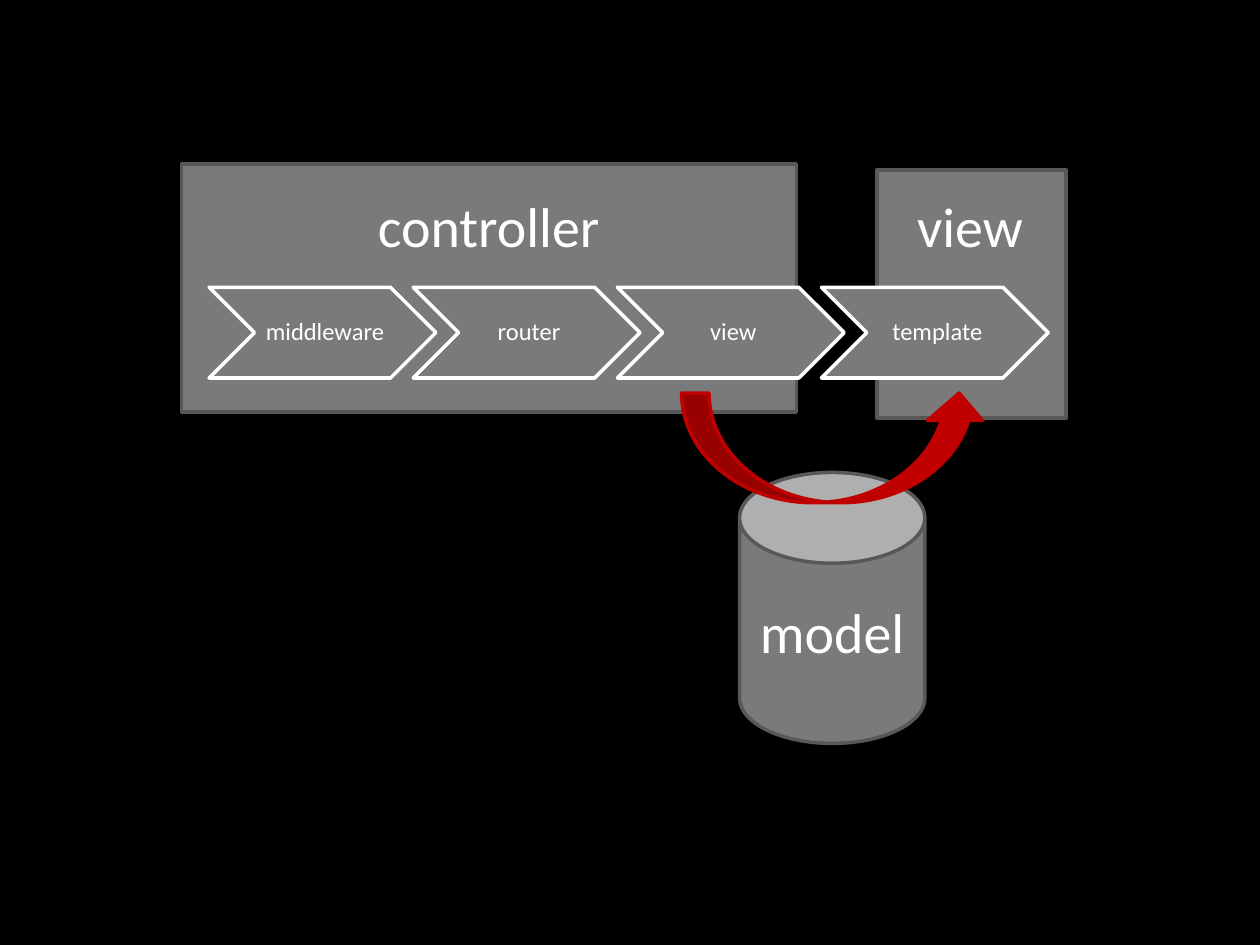
from typing import NamedTuple

from pptx import Presentation
from pptx.dml.color import RGBColor
from pptx.enum.shapes import MSO_SHAPE as Shape
from pptx.enum.text import MSO_ANCHOR as Anchor, MSO_AUTO_SIZE as AutoSize, PP_ALIGN as Align
from pptx.util import Inches, Pt

COLS, ROWS = 100, 75
GREY, EDGE, WHITE, RED, BLACK = "7A7A7A", "585858", "FFFFFF", "C00000", "000000"
STEP_PITCH = 16.2


class Box(NamedTuple):
    col: float
    row: float
    cols: float
    rows: float


class Block(NamedTuple):
    kind: Shape
    box: Box
    fill: str = GREY
    line: str = EDGE


class Label(NamedTuple):
    text: str
    box: Box


prs = Presentation()
prs.slide_width, prs.slide_height = Inches(10), Inches(7.5)
s = prs.slides.add_slide(prs.slide_layouts[6])


def rgb(value: str) -> RGBColor:
    return RGBColor.from_string(value)


def place(box: Box) -> tuple[int, int, int, int]:
    col, row = prs.slide_width / COLS, prs.slide_height / ROWS
    return (round(box.col * col), round(box.row * row),
            round(box.cols * col), round(box.rows * row))


def add_block(block: Block):
    sp = s.shapes.add_shape(block.kind, *place(block.box))
    sp.shadow.inherit = False
    sp.fill.solid()
    sp.fill.fore_color.rgb = rgb(block.fill)
    sp.line.color.rgb = rgb(block.line)
    sp.line.width = Pt(2)
    return sp


def write(tf, text: str, size: int, align: Align = Align.CENTER):
    p = tf.paragraphs[0]
    p.alignment = align
    r = p.add_run()
    r.text = text
    r.font.name = "Calibri"
    r.font.size = Pt(size)
    r.font.color.rgb = rgb(WHITE)
    return p


def add_step(index: int, text: str) -> None:
    box = Box(16.6 + index * STEP_PITCH, 22.8, 18, 7.2)
    tf = add_block(Block(Shape.CHEVRON, box, line=WHITE)).text_frame
    tf.vertical_anchor = Anchor.MIDDLE
    tf.margin_left, tf.margin_right = Inches(0.06), Inches(0.02)
    tf.margin_top = tf.margin_bottom = Inches(0.02)
    p = write(tf, text, 14)
    p.line_spacing = 0.9
    p.space_after = Pt(6)


def add_label(label: Label) -> None:
    tf = s.shapes.add_textbox(*place(label.box)).text_frame
    tf.word_wrap = False
    tf.auto_size = AutoSize.SHAPE_TO_FIT_TEXT
    write(tf, label.text, 32, Align.LEFT)


def main() -> None:
    s.background.fill.solid()
    s.background.fill.fore_color.rgb = rgb(BLACK)

    model = add_block(Block(Shape.CAN, Box(58.7, 37.5, 14.7, 21.5)))
    model.adjustments[0] = 0.49
    model.text_frame.vertical_anchor = Anchor.MIDDLE
    write(model.text_frame, "model", 32)

    for box in (Box(14.4, 13, 48.8, 19.7), Box(69.6, 13.5, 15, 19.7)):
        add_block(Block(Shape.RECTANGLE, box))
    for index, text in enumerate(("middleware", "router", "view", "template")):
        add_step(index, text)
    for label in (Label("controller", Box(29, 14.7, 19.8, 6.4)),
                  Label("view", Box(71.8, 14.7, 10.5, 6.4))):
        add_label(label)

    add_block(Block(Shape.CURVED_UP_ARROW, Box(54.1, 31.2, 24.2, 8.7), RED, RED))
    prs.save("out.pptx")


if __name__ == "__main__":
    main()
